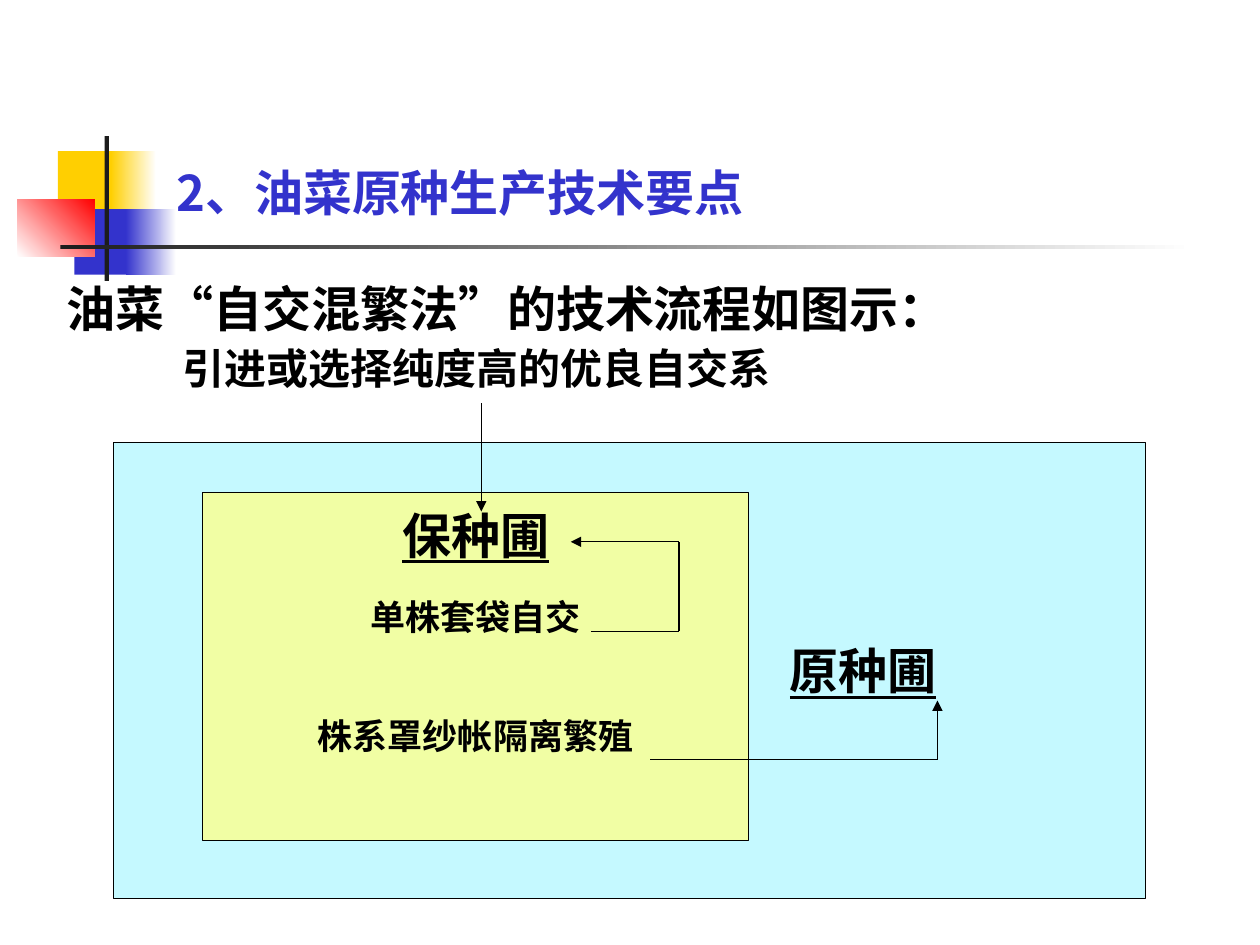
from pptx import Presentation
from pptx.dml.color import RGBColor
from pptx.enum.shapes import MSO_CONNECTOR, MSO_SHAPE
from pptx.enum.text import MSO_ANCHOR, MSO_AUTO_SIZE, PP_ALIGN
from pptx.oxml.ns import qn
from pptx.util import Inches, Pt
from lxml import etree

RECT = MSO_SHAPE.RECTANGLE
LINE = MSO_CONNECTOR.STRAIGHT
TOP, MID, LOW = MSO_ANCHOR.TOP, MSO_ANCHOR.MIDDLE, MSO_ANCHOR.BOTTOM
LEFT, MIDST = PP_ALIGN.LEFT, PP_ALIGN.CENTER
FIXED = MSO_AUTO_SIZE.NONE

# Grid of 100 columns by 75 rows
WIDTH, HEIGHT = Inches(10), Inches(7.5)
COL, ROW = WIDTH // 100, HEIGHT // 75

HEX = {
    "gold": "FFCF01", "blue": "3333CC", "red": "FF0000", "dark": "1C1C1C",
    "white": "FFFFFF", "black": "000000", "sky": "C5F9FF", "lime": "F1FEA4",
}
HAN, SANS, SERIF = "Noto Sans CJK SC", "Roboto", "Times New Roman"


def tint(name):
    return RGBColor.from_string(HEX[name])


def grid(x, y, w, h):
    return round(x * COL), round(y * ROW), round(w * COL), round(h * ROW)


def style(para, size, face=SANS, color="black", under=False):
    """Format every run of a paragraph, with one face for Han text."""
    for run in para.runs:
        font = run.font
        font.size, font.name, font.bold = Pt(size), face, True
        font.underline = under
        font.color.rgb = tint(color)
        east = etree.SubElement(font._element, qn("a:ea"))
        east.set("typeface", HAN)


def block(slide, box, color, fade=None, angle=0):
    """Rectangle with a plain fill, or one that fades to a second colour."""
    shape = slide.shapes.add_shape(RECT, *grid(*box))
    shape.shadow.inherit = False
    shape.line.fill.background()
    if fade:
        shape.fill.gradient()
        shape.fill.gradient_angle = angle
        for stop, name in zip(shape.fill.gradient_stops, (color, fade)):
            stop.color.rgb = tint(name)
    else:
        shape.fill.solid()
        shape.fill.fore_color.rgb = tint(color)
    return shape


def panel(slide, box, color, rows, anchor, left=1, top=0.5):
    """Framed field; rows hold text, size, underline and space before."""
    shape = block(slide, box, color)
    shape.line.color.rgb = tint("black")
    shape.line.width = Pt(0.75)
    frame = shape.text_frame
    frame.word_wrap = True
    frame.vertical_anchor = anchor
    frame.margin_left, frame.margin_top = round(left * COL), round(top * ROW)
    frame.text = "\n".join(row[0] for row in rows)
    for para, (_, size, under, gap) in zip(frame.paragraphs, rows):
        para.alignment = MIDST
        para.space_before = Pt(gap)
        style(para, size, under=under)


def arrow(slide, *points):
    """Straight lines through the points, with a head at the last one."""
    for start, end in zip(points, points[1:]):
        line = slide.shapes.add_connector(
            LINE, *grid(*start, *end))
        line.line.color.rgb = tint("black")
        line.line.width = Pt(0.75)
        etree.SubElement(line._element.spPr, qn("a:effectLst"))
    tail = etree.SubElement(line.line._get_or_add_ln(), qn("a:tailEnd"))
    tail.set("type", "triangle")


def place(holder, box, anchor):
    holder.left, holder.top, holder.width, holder.height = grid(*box)
    frame = holder.text_frame
    frame.auto_size = FIXED
    frame.vertical_anchor = anchor
    return frame


def title(slide, text):
    frame = place(slide.shapes.title, (13, 2.1, 85.2, 16), LOW)
    frame.text = text
    para = frame.paragraphs[0]
    para.alignment = LEFT
    style(para, 28, HAN, "blue")


def body(slide, rows):
    """Lines without bullets; rows hold text, size, face, indent and gap."""
    frame = place(slide.placeholders[1], (4.3, 22.1, 93.6, 45), TOP)
    frame.text = "\n".join(row[0] for row in rows)
    for para, (_, size, face, indent, gap) in zip(frame.paragraphs, rows):
        para.line_spacing = 0.9
        para.space_before = Pt(gap)
        props = para._p.get_or_add_pPr()
        props.set("marL", str(round(indent * COL)))
        props.set("indent", "0")
        etree.SubElement(props, qn("a:buNone"))
        style(para, size, face)


def decor(slide):
    """Coloured squares and the two bars beside the title."""
    block(slide, (4.6, 12, 4.8, 5.2), "gold")
    block(slide, (8.8, 12, 3.6, 5.2), "gold", "white")
    block(slide, (5.9, 16.6, 4.6, 5.2), "blue")
    block(slide, (10, 16.6, 4, 5.2), "blue", "white")
    block(slide, (1.4, 15.8, 6.1, 4.6), "white", "red", 45)
    block(slide, (8.3, 10.8, 0.35, 11.5), "dark")
    block(slide, (4.8, 19.45, 90, 0.35), "dark", "white")


def main():
    deck = Presentation()
    deck.slide_width, deck.slide_height = WIDTH, HEIGHT
    slide = deck.slides.add_slide(deck.slide_layouts[1])

    # Heading and lead text
    decor(slide)
    title(slide, "2、油菜原种生产技术要点")
    body(slide, [
        ("油菜“自交混繁法”的技术流程如图示：", 28, SERIF, 0, 0),
        ("引进或选择纯度高的优良自交系", 24, SANS, 9.2, 6),
    ])

    # Outer and inner nursery
    panel(slide, (9, 35.1, 81.9, 36.2), "sky",
          [("原种圃", 28, True, 0)], MID, left=38.1)
    panel(slide, (16.1, 39.1, 43.3, 27.6), "lime", [
        ("保种圃", 28, True, 0),
        ("单株套袋自交", 20, False, 18),
        ("株系罩纱帐隔离繁殖", 20, False, 44),
    ], TOP, top=1)

    # Flow
    arrow(slide, (46.9, 50.1), (53.9, 50.1), (53.9, 43), (45.3, 43))
    arrow(slide, (51.6, 60.3), (74.4, 60.3), (74.4, 55.6))
    arrow(slide, (38.2, 32), (38.2, 40.6))

    deck.save("out.pptx")


if __name__ == "__main__":
    main()
